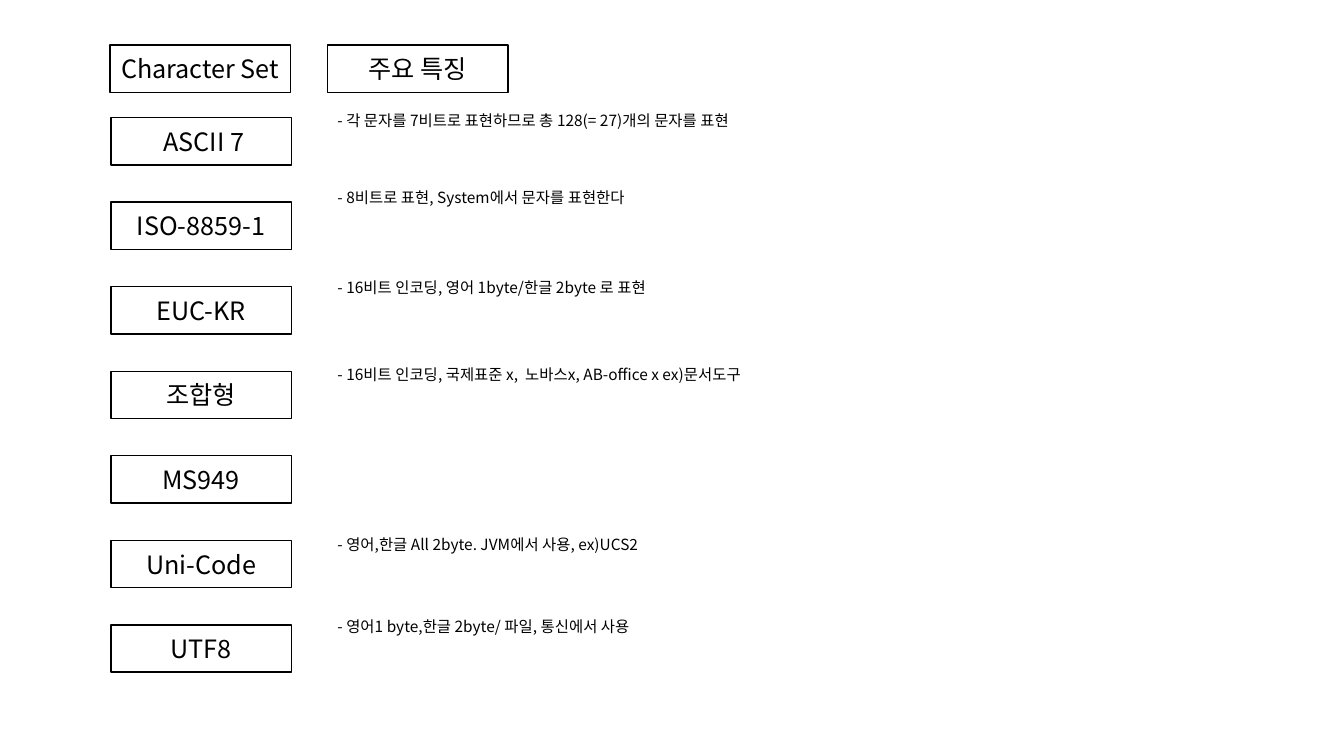
from lxml import etree
from pptx import Presentation
from pptx import util as u
from pptx.dml.color import RGBColor
from pptx.enum import shapes, text
from pptx.oxml.ns import qn

COLORS = {"ink": "000000", "paper": "FFFFFF"}
FONT = "Noto Sans CJK KR"
LABEL_SIZE = (129, 33.8)
HEADERS = [("Character Set", 78.5), ("주요 특징", 234)]
CHARACTER_SETS = [" ASCII 7", "ISO-8859-1", "EUC-KR", "조합형", "MS949", "Uni-Code", "UTF8"]
FEATURES = [
    (75.6, "- 각 문자를 7비트로 표현하므로 총 128(= 27)개의 문자를 표현"),
    (131, "- 8비트로 표현, System에서 문자를 표현한다"),
    (195, "- 16비트 인코딩, 영어 1byte/한글 2byte 로 표현"),
    (257, "- 16비트 인코딩, 국제표준 x,  노바스x, AB-office x ex)문서도구"),
    (379, "- 영어,한글 All 2byte. JVM에서 사용, ex)UCS2"),
    (437, "- 영어1 byte,한글 2byte/ 파일, 통신에서 사용"),
]


def color(name):
    """Return the named colour."""
    return RGBColor.from_string(COLORS[name])


def add_span(para, words, size):
    """Add one run in the slide's font for Latin and Korean text."""
    span = para.add_run()
    span.text = words
    span.font.size = u.Pt(size)
    span.font.name = FONT
    span.font.color.rgb = color("ink")
    etree.SubElement(span.font._element, qn("a:ea")).set("typeface", FONT)


def add_label(page, words, left, top):
    """Draw a framed label with centred text."""
    width, height = LABEL_SIZE
    box = page.shapes.add_shape(
        shapes.MSO_SHAPE.RECTANGLE, u.Pt(left), u.Pt(top), u.Pt(width), u.Pt(height))
    box.shadow.inherit = False
    box.fill.solid()
    box.fill.fore_color.rgb = color("paper")
    box.line.color.rgb = color("ink")
    box.line.width = u.Pt(1)
    box.text_frame.word_wrap = True
    box.text_frame.vertical_anchor = text.MSO_ANCHOR.MIDDLE
    para = box.text_frame.paragraphs[0]
    para.alignment = text.PP_ALIGN.CENTER
    add_span(para, words, 18)


def add_headers(page, top):
    """Place the two column headers."""
    for words, left in HEADERS:
        add_label(page, words, left, top)


def add_character_sets(page, left, top, pitch):
    """Stack the character set labels at an equal pitch."""
    for row, words in enumerate(CHARACTER_SETS):
        add_label(page, words, left, top + row * pitch)


def add_features(page, left, width):
    """Place the feature notes in the right column."""
    for top, words in FEATURES:
        box = page.shapes.add_textbox(u.Pt(left), u.Pt(top), u.Pt(width), u.Pt(20.9))
        box.text_frame.word_wrap = True
        box.text_frame.auto_size = text.MSO_AUTO_SIZE.SHAPE_TO_FIT_TEXT
        add_span(box.text_frame.paragraphs[0], words, 11)


def build_deck():
    """Build and save the character set slide."""
    deck = Presentation()
    deck.slide_width, deck.slide_height = u.Pt(960), u.Pt(540)
    page = deck.slides.add_slide(deck.slide_layouts[6])
    add_headers(page, 32.3)
    add_character_sets(page, 79.2, 84, 60.4)
    add_features(page, 234, 540)
    deck.save("out.pptx")


build_deck()
